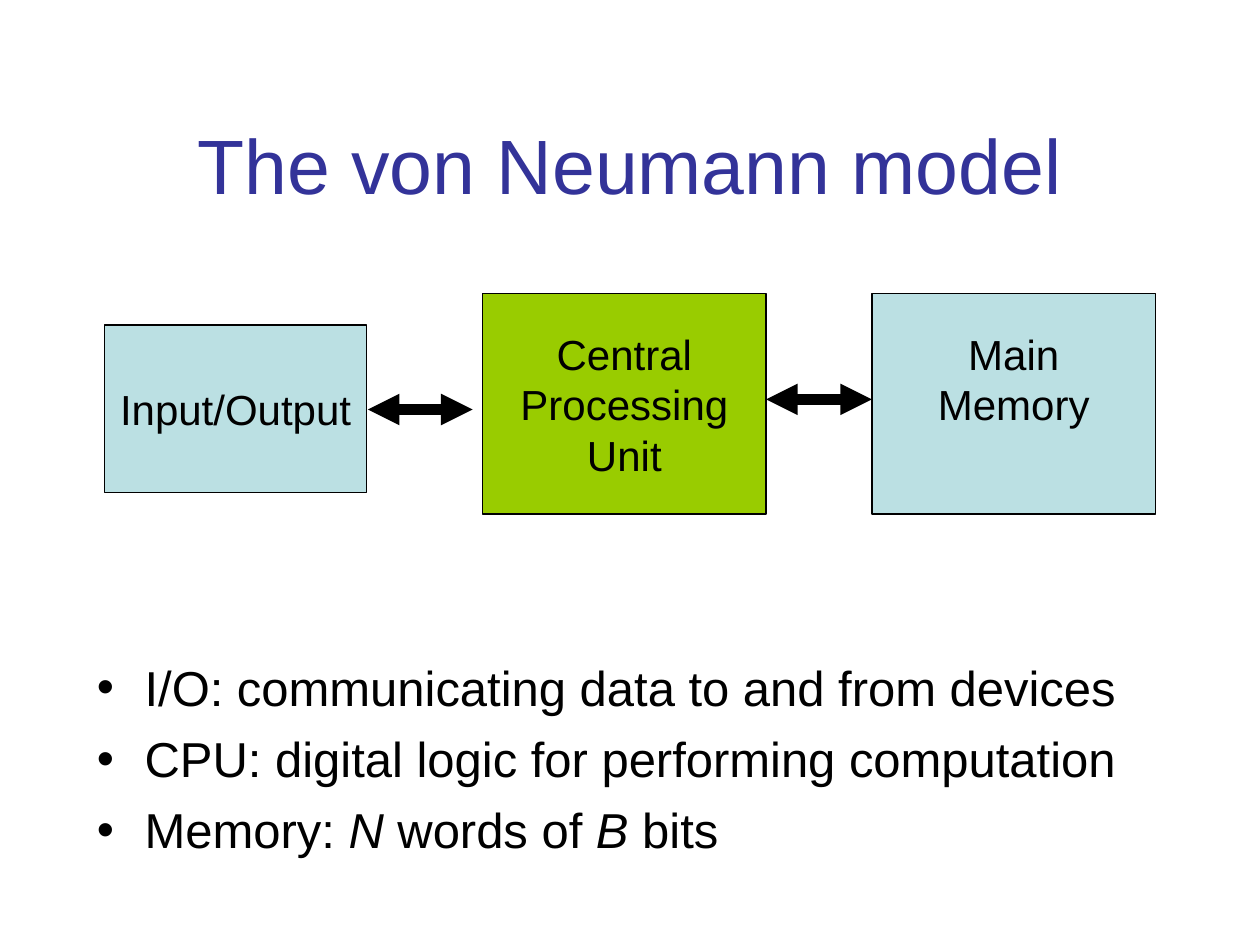
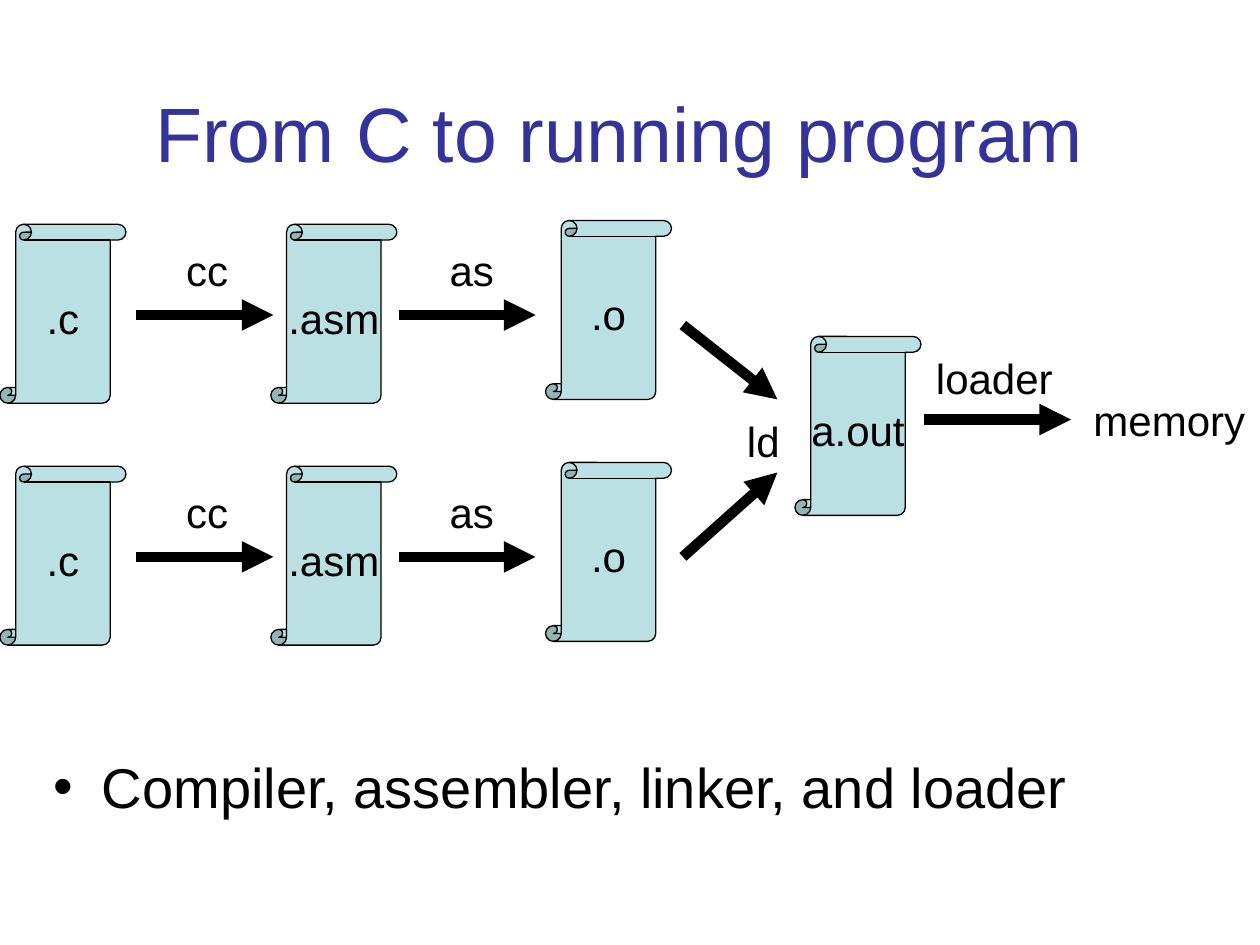
from dataclasses import dataclass
from typing import Optional

from lxml.etree import SubElement
from pptx import Presentation
from pptx.dml.color import RGBColor
from pptx.enum.shapes import MSO_CONNECTOR, MSO_SHAPE
from pptx.enum.text import MSO_ANCHOR, MSO_AUTO_SIZE, PP_ALIGN
from pptx.oxml.ns import qn
from pptx.shapes.autoshape import Shape
from pptx.slide import Slide
from pptx.util import Inches, Pt


@dataclass(frozen=True)
class Theme:
    font: str = "Arial"
    ink: RGBColor = RGBColor(0x00, 0x00, 0x00)
    title: RGBColor = RGBColor(0x33, 0x33, 0x99)
    pale: RGBColor = RGBColor(0xBB, 0xE0, 0xE3)
    accent: RGBColor = RGBColor(0x99, 0xCC, 0x00)
    title_size: int = 44
    label_size: int = 24
    outline: float = 0.75
    arrow_width: float = 6


THEME = Theme()


@dataclass(frozen=True)
class Area:
    left: float
    top: float
    width: float
    height: float

    def lengths(self) -> list[Inches]:
        return [Inches(v) for v in (self.left, self.top, self.width, self.height)]


@dataclass(frozen=True)
class Block:
    text: str
    area: Area
    fill: RGBColor = THEME.pale
    kind: MSO_SHAPE = MSO_SHAPE.RECTANGLE
    bottom_inset: float = 0.05


@dataclass(frozen=True)
class Arrow:
    start: tuple[float, float]
    end: tuple[float, float]
    both_ways: bool = False


@dataclass(frozen=True)
class Span:
    text: str
    italic: Optional[bool] = None


def write_paragraph(para, spans: list[Span], size: float, color: RGBColor = THEME.ink,
                    **para_format) -> None:
    for name, value in para_format.items():
        setattr(para, name, value)
    for span in spans:
        run = para.add_run()
        run.text = span.text
        run.font.color.rgb = color
        font_format = {"name": THEME.font, "size": Pt(size), "italic": span.italic}
        for name, value in font_format.items():
            setattr(run.font, name, value)


def write_lines(shape: Shape, text: str, size: float, color: RGBColor = THEME.ink,
                align: PP_ALIGN = PP_ALIGN.CENTER, **frame_format) -> None:
    frame = shape.text_frame
    for name, value in frame_format.items():
        setattr(frame, name, value)
    for index, line in enumerate(text.split("\n")):
        para = frame.add_paragraph() if index else frame.paragraphs[0]
        write_paragraph(para, [Span(line)], size, color, alignment=align)


def add_title(page: Slide, text: str, left: float, top: float) -> None:
    box = page.shapes.add_textbox(*Area(left, top, 8.5, 1.25).lengths())
    write_lines(box, text, THEME.title_size, THEME.title,
                word_wrap=True, vertical_anchor=MSO_ANCHOR.MIDDLE)


def add_bullets(page: Slide, area: Area, items: list[list[Span]], size: float,
                space_before: float) -> None:
    frame = page.shapes.add_textbox(*area.lengths()).text_frame
    frame.word_wrap = True
    for index, spans in enumerate(items):
        para = frame.add_paragraph() if index else frame.paragraphs[0]
        write_paragraph(para, spans, size, space_before=Pt(space_before))
        properties = para._p.get_or_add_pPr()
        properties.set("marL", str(Inches(0.38)))
        properties.set("indent", str(Inches(-0.38)))
        SubElement(properties, qn("a:buFont"), typeface=THEME.font)
        SubElement(properties, qn("a:buChar"), char="•")


def add_block(page: Slide, block: Block) -> None:
    shape = page.shapes.add_shape(block.kind, *block.area.lengths())
    shape.shadow.inherit = False
    shape.fill.solid()
    shape.fill.fore_color.rgb = block.fill
    shape.line.color.rgb = THEME.ink
    shape.line.width = Pt(THEME.outline)
    write_lines(shape, block.text, THEME.label_size, word_wrap=False,
                vertical_anchor=MSO_ANCHOR.MIDDLE,
                margin_bottom=Inches(block.bottom_inset))


def add_arrow(page: Slide, arrow: Arrow) -> None:
    points = [Inches(v) for v in (*arrow.start, *arrow.end)]
    connector = page.shapes.add_connector(MSO_CONNECTOR.STRAIGHT, *points)
    connector.line.color.rgb = THEME.ink
    connector.line.width = Pt(THEME.arrow_width)
    line = connector.line._get_or_add_ln()
    for end in ("a:headEnd", "a:tailEnd") if arrow.both_ways else ("a:tailEnd",):
        SubElement(line, qn(end), type="triangle")
    SubElement(connector._element.spPr, qn("a:effectLst"))


def add_label(page: Slide, text: str, left: float, top: float, width: float) -> None:
    box = page.shapes.add_textbox(*Area(left, top, width, 0.5).lengths())
    write_lines(box, text, THEME.label_size, align=PP_ALIGN.LEFT,
                word_wrap=False, auto_size=MSO_AUTO_SIZE.SHAPE_TO_FIT_TEXT)


def add_file(page: Slide, name: str, left: float, top: float) -> None:
    add_block(page, Block(name, Area(left, top, 1, 1.42), kind=MSO_SHAPE.VERTICAL_SCROLL))


def add_compile_row(page: Slide, top: float) -> None:
    """Draw one source file on its way to an object file."""
    add_file(page, ".o", 4.33, top)
    add_file(page, ".c", 0, top + 0.03)
    add_file(page, ".asm", 2.15, top + 0.03)
    for tool, left, start, end in (("cc", 1.38, 1.08, 2.17), ("as", 3.47, 3.17, 4.25)):
        add_arrow(page, Arrow((start, top + 0.75), (end, top + 0.75)))
        add_label(page, tool, left, top + 0.14, 0.6)


def build_von_neumann(page: Slide) -> None:
    add_title(page, "The von Neumann model", 0.75, 0.67)
    add_bullets(page, Area(0.67, 5.17, 8.67, 2.08), [
        [Span("I/O: communicating data to and from devices")],
        [Span("CPU: digital logic for performing computation")],
        [Span("Memory: "), Span("N", True), Span(" words of "), Span("B", True), Span(" bits")],
    ], size=28, space_before=7)
    for block in (
        Block("Central\nProcessing\nUnit", Area(3.83, 2.33, 2.25, 1.75), THEME.accent),
        Block("Input/Output", Area(0.83, 2.58, 2.08, 1.33)),
        Block("Main\nMemory", Area(6.92, 2.33, 2.25, 1.75), bottom_inset=0.45),
    ):
        add_block(page, block)
    add_arrow(page, Arrow((6.08, 3.17), (6.92, 3.17), both_ways=True))
    add_arrow(page, Arrow((2.92, 3.25), (3.75, 3.25), both_ways=True))


def build_toolchain(page: Slide) -> None:
    add_title(page, "From C to running program", 0.67, 0.42)
    add_bullets(page, Area(0.33, 5.92, 8.5, 0.92),
                [[Span("Compiler, assembler, linker, and loader")]], size=32, space_before=8)
    for top in (1.75, 3.67):
        add_compile_row(page, top)
    add_file(page, "a.out", 6.31, 2.67)
    for arrow in (Arrow((5.42, 2.58), (6.17, 3.17)),
                  Arrow((5.42, 4.42), (6.17, 3.75)),
                  Arrow((7.33, 3.33), (8.5, 3.33))):
        add_arrow(page, arrow)
    add_label(page, "ld", 5.83, 3.25, 0.48)
    add_label(page, "loader", 7.33, 2.75, 1.16)
    add_label(page, "memory", 8.58, 3.08, 1.42)


def main() -> None:
    deck = Presentation()
    deck.slide_width, deck.slide_height = Inches(10), Inches(7.5)
    blank = deck.slide_layouts[6]
    for build in (build_von_neumann, build_toolchain):
        build(deck.slides.add_slide(blank))
    deck.save("out.pptx")


if __name__ == "__main__":
    main()
